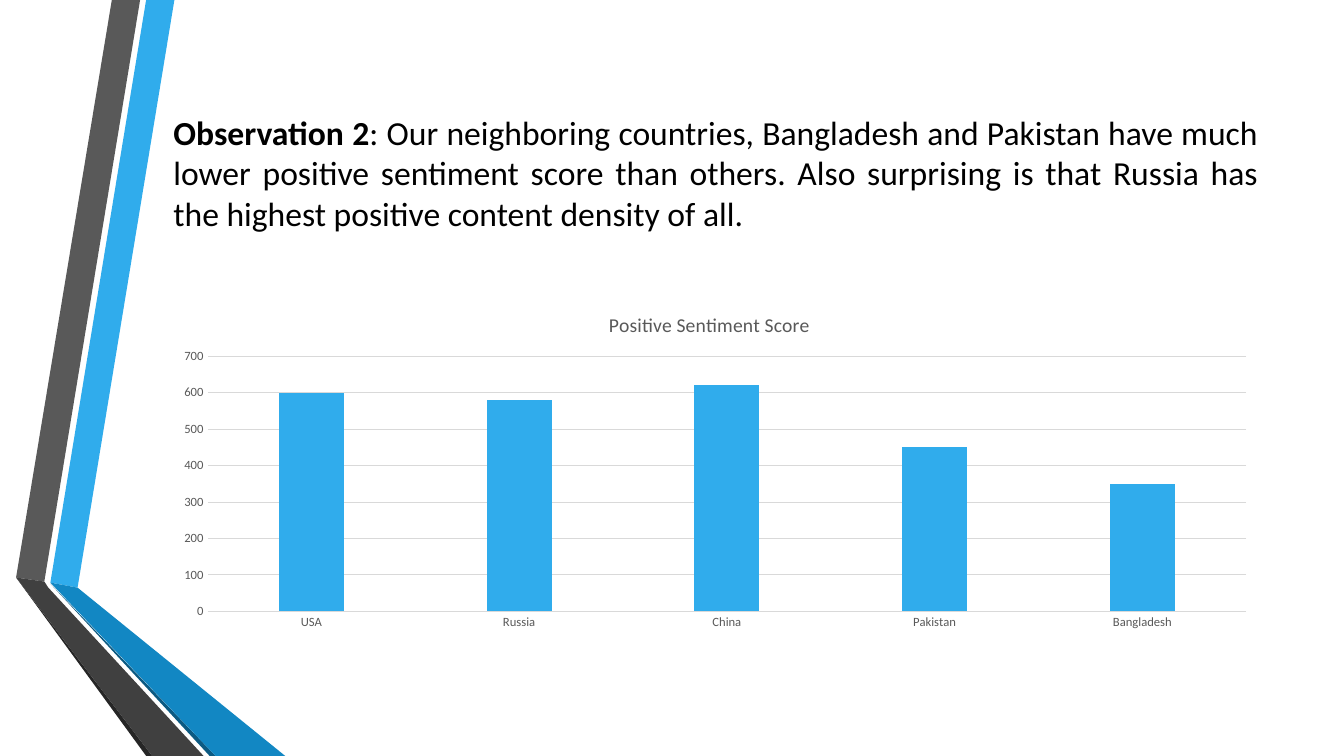
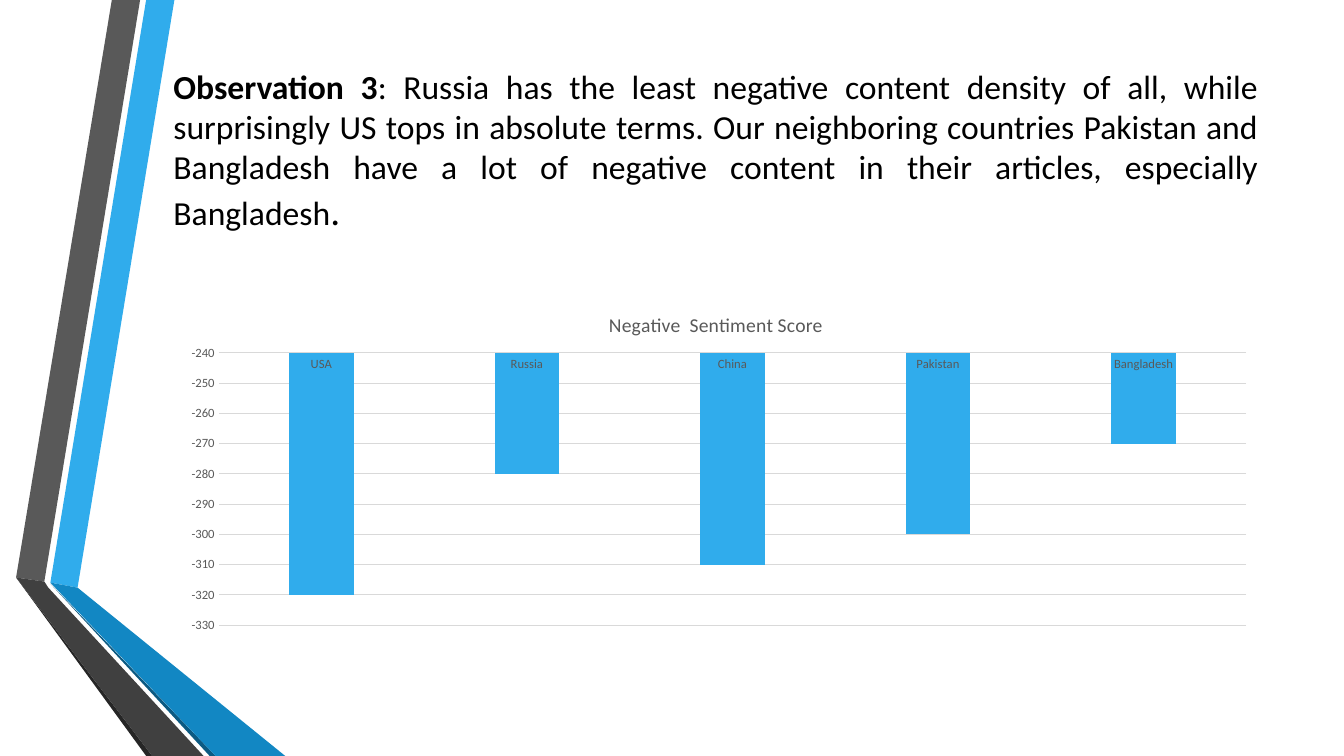
from lxml import etree
from pptx import Presentation
from pptx.chart.data import CategoryChartData
from pptx.dml.color import RGBColor
from pptx.enum.chart import XL_CHART_TYPE, XL_TICK_MARK
from pptx.enum.text import MSO_ANCHOR, MSO_AUTO_SIZE, PP_ALIGN
from pptx.oxml.ns import qn
from pptx.util import Inches, Pt

COLUMN = XL_CHART_TYPE.COLUMN_CLUSTERED
NO_TICK = XL_TICK_MARK.NONE
MIDDLE, NO_FIT, JUSTIFY = MSO_ANCHOR.MIDDLE, MSO_AUTO_SIZE.NONE, PP_ALIGN.JUSTIFY

FONT = "Calibri"
COLORS = {
    "black": "000000", "label": "595959", "grid": "D9D9D9", "blue": "30ACEC",
    "blue_dark": "1287C3", "blue_edge": "0C5A82",
    "grey": "595959", "grey_dark": "404040", "grey_edge": "262626",
}
BANDS = [
    ("blue", [(0.5, 5.78), (0.77, 5.83), (1.73, 0), (1.45, 0)]),
    ("grey", [(1.39, 0), (1.11, 0), (0.16, 5.73), (0.44, 5.77)]),
    ("grey_edge", [(0.16, 5.73), (1.45, 7.5), (1.51, 7.5)]),
    ("blue_edge", [(0.5, 5.79), (2.08, 7.5), (2.14, 7.5)]),
    ("blue_dark", [(0.5, 5.78), (2.14, 7.5), (2.83, 7.5), (0.77, 5.83)]),
    ("grey_dark", [(2.02, 7.5), (0.48, 5.83), (0.44, 5.77), (0.16, 5.73), (1.51, 7.5)]),
]
LEFT, WIDTH = 1.62, 10.96
TITLE_BOX = {"left": LEFT, "top": 0.75, "width": WIDTH, "height": 1.92}
CHART_BOX = (LEFT, 2.92, WIDTH, 3.42)
COUNTRIES = ["USA", "Russia", "China", "Pakistan", "Bangladesh"]
CHART_TITLE_LAYOUT = {"x": 0.4, "y": 0.04}
SLIDES = [
    {
        "title": [
            ("Observation 2", 24, True),
            (": Our neighboring countries, Bangladesh and Pakistan have much lower "
             "positive sentiment score than others. Also surprising is that Russia "
             "has the highest positive content density of all.", 24, False),
        ],
        "bottom_inset": 0.05,
        "chart_title": "Positive Sentiment Score",
        "plot_layout": {"x": 0.04, "y": 0.18, "w": 0.94, "h": 0.74},
        "values": [600, 580, 620, 450, 350],
        "scale": {"minimum_scale": 0, "maximum_scale": 700, "major_unit": 100},
    },
    {
        "title": [
            ("Observation 3", 24, True),
            (": Russia has the least negative content density of all, while "
             "surprisingly US tops in absolute terms. Our neighboring countries "
             "Pakistan and Bangladesh have a lot of negative content in their "
             "articles, especially Bangladesh", 24, False),
            (".", 28, False),
        ],
        "bottom_inset": 0.5,
        "chart_title": "Negative  Sentiment Score",
        "plot_layout": {"x": 0.05, "y": 0.17, "w": 0.93, "h": 0.79},
        "values": [-320, -280, -310, -300, -270],
        "scale": {"minimum_scale": -330, "maximum_scale": -240, "major_unit": 10},
    },
]


def rgb(name):
    """Return the named colour."""
    return RGBColor.from_string(COLORS[name])


def set_attrs(obj, values):
    """Set attributes from a dict of format values."""
    for name, value in values.items():
        setattr(obj, name, value)


def style_font(font, size, color, bold=False):
    """Apply the deck font."""
    set_attrs(font, {"name": FONT, "size": Pt(size), "bold": bold})
    font.color.rgb = rgb(color)


def format_layout(layout):
    """Place the title that all slides inherit."""
    title = layout.placeholders[0]
    set_attrs(title, {name: Inches(value) for name, value in TITLE_BOX.items()})
    set_attrs(title.text_frame, {"vertical_anchor": MIDDLE, "auto_size": NO_FIT})


def add_band(s, color, points):
    """Draw one filled polygon."""
    start, *rest = [(Inches(x), Inches(y)) for x, y in points]
    builder = s.shapes.build_freeform(*start)
    builder.add_line_segments(rest, close=True)
    sp = builder.convert_to_shape()
    sp.shadow.inherit = False
    sp.fill.solid()
    sp.fill.fore_color.rgb = rgb(color)
    sp.line.fill.background()
    return sp


def add_shared_bands(s):
    """Draw the bands and move them to the layout of the slide."""
    tree = s.slide_layout.shapes.element
    for number, (color, points) in enumerate(BANDS, start=101):
        band = add_band(s, color, points).element
        band.nvSpPr.cNvPr.set("id", str(number))
        tree.append(band)


def fill_title(s, runs, bottom_inset):
    """Write the justified observation in the title."""
    tf = s.shapes.title.text_frame
    tf.margin_bottom = Inches(bottom_inset)
    p = tf.paragraphs[0]
    p.alignment = JUSTIFY
    for text, size, bold in runs:
        r = p.add_run()
        r.text = text
        style_font(r.font, size, "black", bold)


def set_chart_layout(parent, index, values, inner=False):
    """Place a chart part by fractions of the chart size."""
    for old in parent.findall(qn("c:layout")):
        parent.remove(old)
    layout = etree.Element(qn("c:layout"))
    manual = etree.SubElement(layout, qn("c:manualLayout"))
    settings = {"layoutTarget": "inner"} if inner else {}
    settings.update({"xMode": "edge", "yMode": "edge"}, **values)
    for name, value in settings.items():
        etree.SubElement(manual, qn("c:" + name)).set("val", str(value))
    parent.insert(index, layout)


def style_axes(chart, scale):
    """Format both axes and the gridlines."""
    value_axis, category_axis = chart.value_axis, chart.category_axis
    for axis in (value_axis, category_axis):
        set_attrs(axis, {"major_tick_mark": NO_TICK, "minor_tick_mark": NO_TICK})
        style_font(axis.tick_labels.font, 9, "label")
    set_attrs(value_axis, {**scale, "has_major_gridlines": True})
    value_axis.format.line.fill.background()
    for line in (value_axis.major_gridlines.format.line, category_axis.format.line):
        line.color.rgb = rgb("grid")
        line.width = Pt(0.75)


def add_score_chart(s, content):
    """Add the column chart of scores by country."""
    data = CategoryChartData()
    data.categories = COUNTRIES
    data.add_series("Series 1", content["values"])
    box = [Inches(value) for value in CHART_BOX]
    chart = s.shapes.add_chart(COLUMN, *box, data).chart
    set_attrs(chart, {"has_legend": False, "has_title": True})
    style_font(chart.font, 10, "black")
    tf = chart.chart_title.text_frame
    tf.text = content["chart_title"]
    style_font(tf.paragraphs[0].runs[0].font, 14, "label")
    plot = chart.plots[0]
    set_attrs(plot, {"gap_width": 219, "overlap": -27, "vary_by_categories": False})
    series = plot.series[0]
    series.invert_if_negative = False
    series.format.fill.solid()
    series.format.fill.fore_color.rgb = rgb("blue")
    style_axes(chart, content["scale"])
    title = chart.element.find(".//" + qn("c:title"))
    set_chart_layout(title, 1, CHART_TITLE_LAYOUT)
    plot_area = chart.element.find(".//" + qn("c:plotArea"))
    set_chart_layout(plot_area, 0, content["plot_layout"], inner=True)


def main():
    """Build and save the deck."""
    prs = Presentation()
    set_attrs(prs, {"slide_width": Inches(13.33), "slide_height": Inches(7.5)})
    layout = prs.slide_layouts[5]
    format_layout(layout)
    for content in SLIDES:
        s = prs.slides.add_slide(layout)
        fill_title(s, content["title"], content["bottom_inset"])
        add_score_chart(s, content)
    add_shared_bands(prs.slides[0])
    prs.save("out.pptx")


main()
